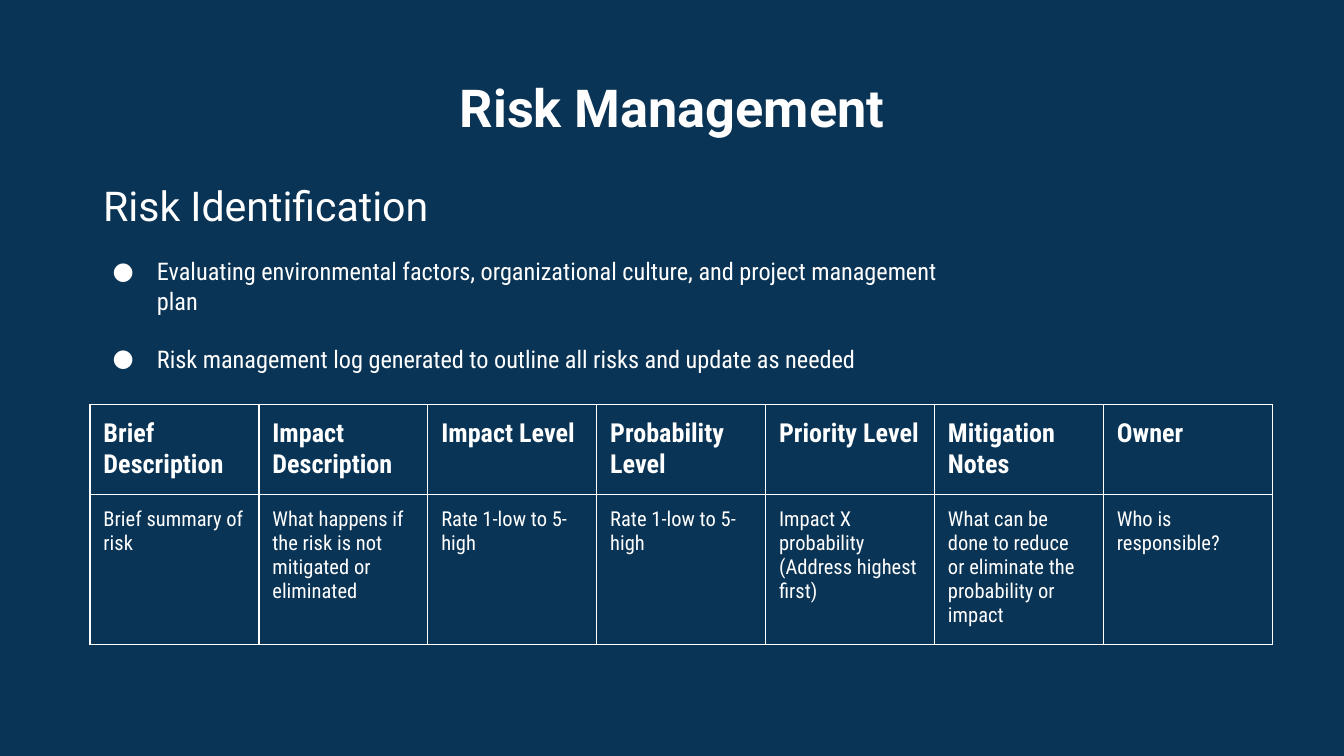
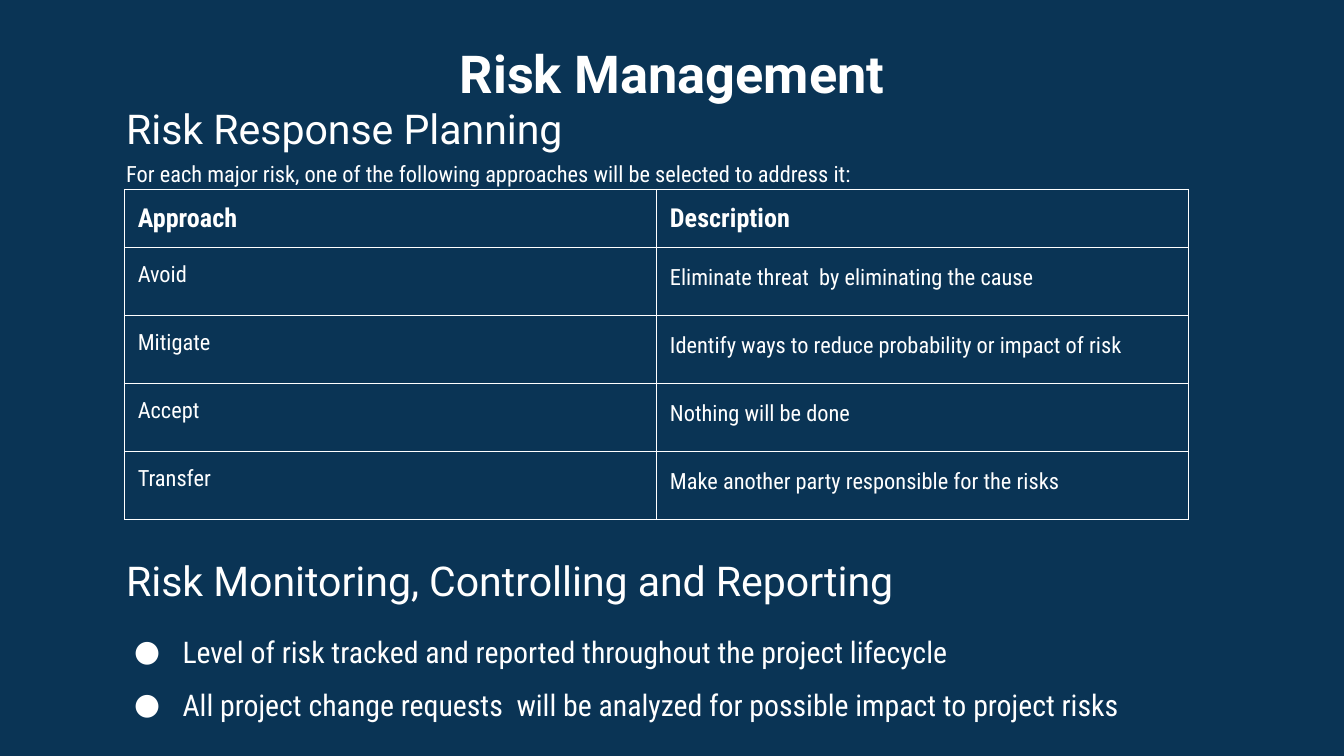
from lxml.etree import SubElement
from pptx import Presentation
from pptx.dml.color import RGBColor
from pptx.enum.text import MSO_ANCHOR, MSO_AUTO_SIZE, PP_ALIGN
from pptx.oxml.ns import qn
from pptx.util import Inches, Pt

NAVY = "0A3455"
WHITE = "FFFFFF"
HEADING_FONT = "Roboto"
BODY_FONT = "Roboto Condensed"
COLUMNS, ROWS = 100, 56.25


def color(hex_code):
    return RGBColor.from_string(hex_code)


def add_solid_fill(parent, hex_code):
    fill = SubElement(parent, qn("a:solidFill"))
    SubElement(fill, qn("a:srgbClr"), val=hex_code)


class Deck:
    def __init__(self):
        self.presentation = Presentation()
        self.presentation.slide_width = Inches(10)
        self.presentation.slide_height = Inches(5.625)
        background = self.presentation.slide_master.background.fill
        background.solid()
        background.fore_color.rgb = color(NAVY)
        self.slide = None

    def x(self, columns):
        return round(self.presentation.slide_width * columns / COLUMNS)

    def y(self, rows):
        return round(self.presentation.slide_height * rows / ROWS)

    def place(self, left, top, width, height):
        return self.x(left), self.y(top), self.x(width), self.y(height)

    def set_margins(self, owner):
        owner.margin_left = owner.margin_right = self.x(1)
        owner.margin_top = owner.margin_bottom = self.y(1)

    def style(self, paragraph, size, font=BODY_FONT, bold=False, spacing=None):
        if spacing:
            paragraph.line_spacing = spacing
        for run in paragraph.runs:
            run.font.name = font
            run.font.size = Pt(size)
            run.font.bold = bold
            run.font.color.rgb = color(WHITE)

    def indent(self, paragraph, margin, first_line=0):
        properties = paragraph._p.get_or_add_pPr()
        properties.set("marL", str(self.x(margin)))
        properties.set("indent", str(self.x(first_line)))
        return properties

    def new_slide(self, title, top):
        layout = self.presentation.slide_layouts.get_by_name("Title Only")
        self.slide = self.presentation.slides.add_slide(layout)
        heading = self.slide.shapes.title
        heading.left, heading.top, heading.width, heading.height = self.place(21.5, top, 57, 10.3)
        frame = heading.text_frame
        frame.text = title
        frame.word_wrap = True
        frame.auto_size = MSO_AUTO_SIZE.NONE
        frame.vertical_anchor = MSO_ANCHOR.TOP
        self.set_margins(frame)
        frame.paragraphs[0].alignment = PP_ALIGN.CENTER
        self.style(frame.paragraphs[0], 28, HEADING_FONT, True, 1.15)

    def text_box(self, text, left, top, width, height):
        frame = self.slide.shapes.add_textbox(*self.place(left, top, width, height)).text_frame
        frame.word_wrap = True
        frame.auto_size = MSO_AUTO_SIZE.SHAPE_TO_FIT_TEXT
        self.set_margins(frame)
        frame.text = text
        return frame.paragraphs

    def section(self, text, left, top, width):
        self.style(self.text_box(text, left, top, width, 5.7)[0], 22, HEADING_FONT)

    def lead_in(self, text, left, top, width):
        paragraph = self.text_box(text, left, top, width, 4)[0]
        paragraph.alignment = PP_ALIGN.JUSTIFY
        self.indent(paragraph, 4)
        self.style(paragraph, 12)

    def bullets(self, items, left, top, width, height, size, hang, gap=0, spacing=None):
        paragraphs = self.text_box("\n".join(items), left, top, width, height)
        for index, paragraph in enumerate(paragraphs):
            properties = self.indent(paragraph, 5, -hang)
            add_solid_fill(SubElement(properties, qn("a:buClr")), WHITE)
            bullet_color = properties.find(qn("a:buClr"))
            bullet_color.append(bullet_color[0][0])
            bullet_color.remove(bullet_color[0])
            SubElement(properties, qn("a:buFont"), typeface=BODY_FONT)
            SubElement(properties, qn("a:buChar"), char="●")
            if index and gap:
                paragraph.space_before = Pt(gap)
            self.style(paragraph, size, spacing=spacing)

    def border(self, cell):
        properties = cell._tc.get_or_add_tcPr()
        for side in ("lnL", "lnR", "lnT", "lnB"):
            line = SubElement(properties, qn(f"a:{side}"), w=str(Pt(0.75)))
            add_solid_fill(line, WHITE)

    def table(self, content, left, top, column_width, row_heights, body_size, spacings):
        column_count = len(content[0])
        place = self.place(left, top, column_width * column_count, sum(row_heights))
        grid = self.slide.shapes.add_table(len(content), column_count, *place).table
        grid.first_row = grid.horz_banding = False
        for column in grid.columns:
            column.width = self.x(column_width)
        for row_index, (texts, height) in enumerate(zip(content, row_heights)):
            grid.rows[row_index].height = self.y(height)
            for column_index, text in enumerate(texts):
                cell = grid.cell(row_index, column_index)
                cell.text = text
                self.set_margins(cell)
                self.border(cell)
                cell.fill.background()
                paragraph = cell.text_frame.paragraphs[0]
                if row_index == 0:
                    self.style(paragraph, 14, bold=True)
                else:
                    self.style(paragraph, body_size, spacing=spacings[column_index])


RISK_LOG = [
    ["Brief Description", "Impact Description", "Impact Level", "Probability Level",
     "Priority Level", "Mitigation Notes", "Owner"],
    ["Brief summary of risk", "What happens if the risk is not mitigated or eliminated",
     "Rate 1-low to 5-high", "Rate 1-low to 5-high",
     "Impact X probability (Address highest first)",
     "What can be done to reduce or eliminate the probability or impact",
     "Who is responsible?"],
]
APPROACHES = [
    ["Approach", "Description"],
    ["Avoid", "Eliminate threat  by eliminating the cause"],
    ["Mitigate", "Identify ways to reduce probability or impact of risk"],
    ["Accept", "Nothing will be done"],
    ["Transfer", "Make another party responsible for the risks"],
]


def identification_slide(deck):
    deck.new_slide("Risk Management", 3.9)
    deck.section("Risk Identification", 6.7, 12.4, 50.7)
    deck.bullets(
        ["Evaluating environmental factors, organizational culture, and project management plan",
         "Risk management log generated to outline all risks and update as needed"],
        5.7, 18.1, 67.6, 8.6, size=13, hang=3.3, gap=15.5)
    deck.table(RISK_LOG, 6.7, 30.1, 12.57, [4, 9], 11, [None] * 7)


def response_slide(deck):
    deck.new_slide("Risk Management", 1.4)
    deck.section("Risk Response Planning", 8.4, 6.7, 50.7)
    deck.table(APPROACHES, 9.25, 14.1, 39.6, [3.5] + [5.06] * 4, 12, [None, 1.15])
    deck.section("Risk Monitoring, Controlling and Reporting", 8.4, 40.3, 73.5)
    deck.bullets(
        ["Level of risk tracked and reported throughout the project lifecycle",
         "All project change requests  will be analyzed for possible impact to project risks"],
        7.6, 44.8, 79.2, 8.8, size=16, hang=3.6, spacing=1.5)
    deck.lead_in("For each major risk, one of the following approaches will be selected to address it:",
                 4.4, 10.9, 67.1)


def main():
    deck = Deck()
    identification_slide(deck)
    response_slide(deck)
    deck.presentation.save("out.pptx")


if __name__ == "__main__":
    main()
